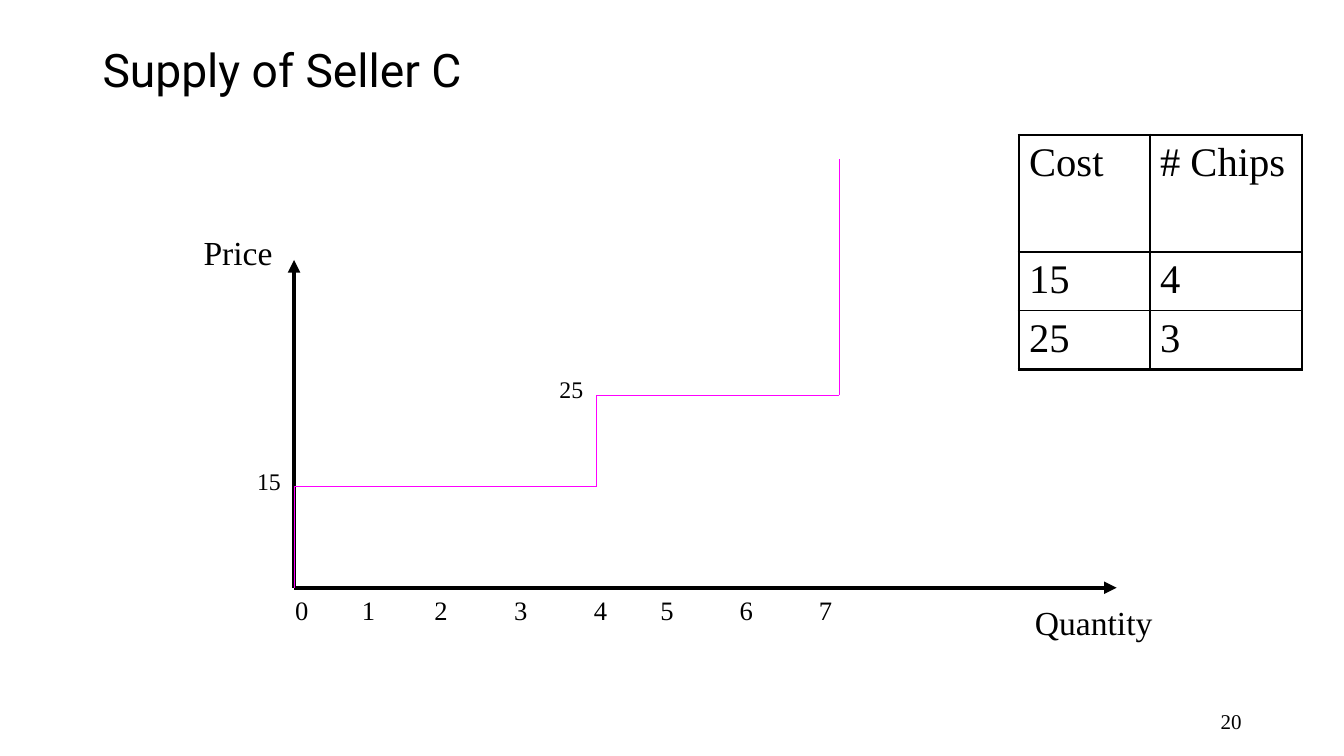
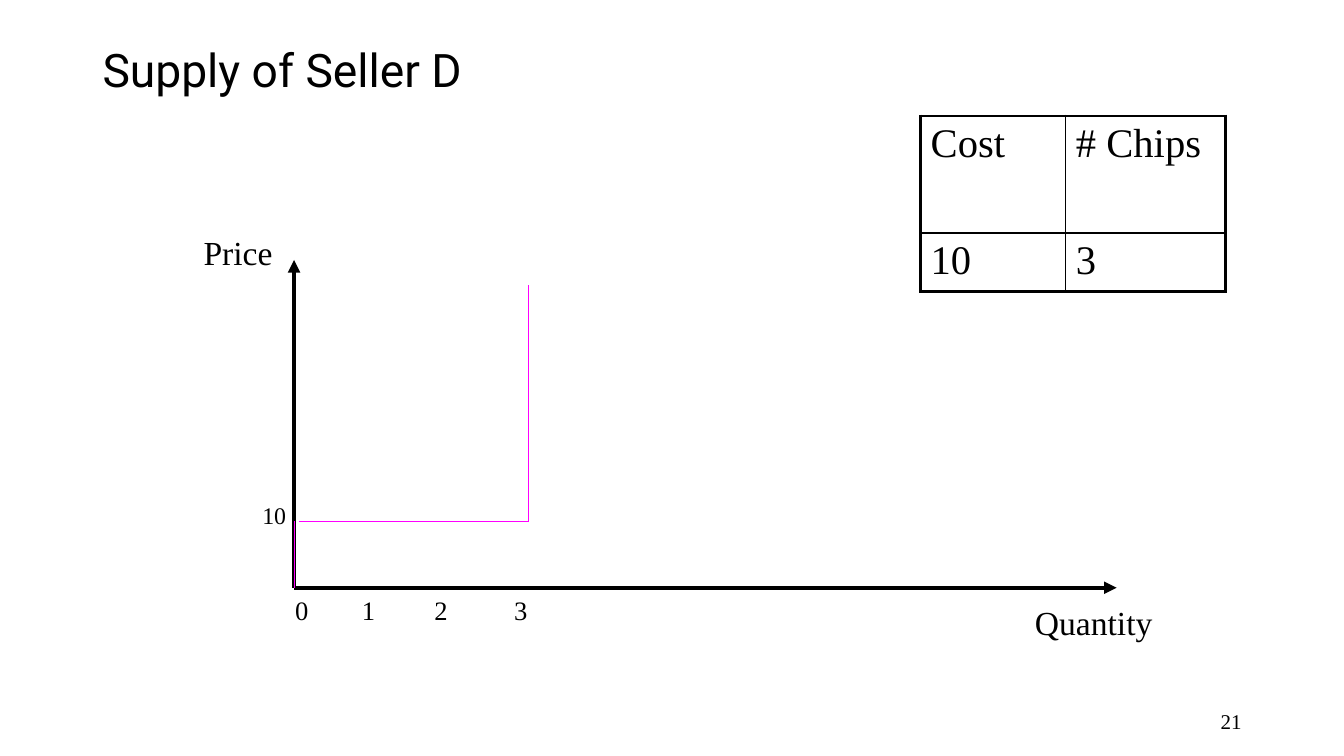
from itertools import pairwise

from lxml.etree import SubElement
from pptx import Presentation
from pptx.dml.color import RGBColor
from pptx.enum.shapes import MSO_CONNECTOR
from pptx.enum.text import MSO_ANCHOR, PP_ALIGN
from pptx.oxml.ns import qn
from pptx.util import Cm, Pt

BLACK, MAGENTA = "000000", "FF00FF"
TITLE_FONT, BODY_FONT = "Roboto", "Times New Roman"
FRAME_WIDTH, GRID_WIDTH = 2.25, 1
LABEL_GAP = 0.33  # between a price label and its step
CURVE_RISE = 5.94  # final vertical part of every supply curve
TICK_STOPS = (1.68, 3.51, 5.52, 7.53, 9.2, 11.2, 13.2)


def rgb(color):
    return RGBColor.from_string(color)


def add_run(paragraph, text, size, font=BODY_FONT):
    run = paragraph.add_run()
    run.text = text
    run.font.size = Pt(size)
    run.font.name = font
    run.font.color.rgb = rgb(BLACK)


def add_label(slide, left, top, width, height, text, size,
              align=PP_ALIGN.LEFT, anchor=MSO_ANCHOR.TOP):
    label = slide.shapes.add_textbox(Cm(left), Cm(top), Cm(width), Cm(height))
    frame = label.text_frame
    frame.word_wrap = True
    frame.vertical_anchor = anchor
    paragraph = frame.paragraphs[0]
    paragraph.alignment = align
    add_run(paragraph, text, size)
    return frame


def add_line(slide, start, end, color, width, arrow=False):
    line = slide.shapes.add_connector(
        MSO_CONNECTOR.STRAIGHT, *(Cm(value) for value in (*start, *end)))
    line.line.color.rgb = rgb(color)
    line.line.width = Pt(width)
    if arrow:
        SubElement(line.line._get_or_add_ln(), qn("a:tailEnd"), type="triangle")
    SubElement(line._element.spPr, qn("a:effectLst"))


def add_heading(slide, title, number):
    heading = slide.shapes.title
    heading.left, heading.top = Cm(2.33), Cm(-0.02)
    heading.width, heading.height = Cm(29.21), Cm(3.68)
    heading.text_frame.vertical_anchor = MSO_ANCHOR.MIDDLE
    paragraph = heading.text_frame.paragraphs[0]
    paragraph.alignment = PP_ALIGN.LEFT
    paragraph.line_spacing = 0.9
    add_run(paragraph, title, 33, TITLE_FONT)
    add_label(slide, 25.83, 17.65, 5.71, 1.02, str(number), 15,
              PP_ALIGN.RIGHT, MSO_ANCHOR.MIDDLE)


def set_borders(cell, widths):
    properties = cell._tc.get_or_add_tcPr()
    for side, width in zip("LRTB", widths):
        border = SubElement(properties, qn(f"a:ln{side}"), w=str(Pt(width)))
        fill = SubElement(border, qn("a:solidFill"))
        SubElement(fill, qn("a:srgbClr"), val=BLACK)


def add_cost_table(slide, left, top, column_widths, costs):
    rows = [("Cost", "# Chips"), *costs]
    row_heights = [2.95] + [1.48] * len(costs)
    table = slide.shapes.add_table(
        len(rows), len(column_widths), Cm(left), Cm(top),
        Cm(sum(column_widths)), Cm(sum(row_heights))).table
    table.first_row = table.horz_banding = False
    for column, width in zip(table.columns, column_widths):
        column.width = Cm(width)
    last_row, last_column = len(rows) - 1, len(column_widths) - 1
    for r, values in enumerate(rows):
        table.rows[r].height = Cm(row_heights[r])
        for c, value in enumerate(values):
            cell = table.cell(r, c)
            on_frame = (c == 0, c == last_column, r == 0, r == last_row)
            set_borders(cell, [FRAME_WIDTH if edge else GRID_WIDTH
                               for edge in on_frame])
            cell.fill.background()
            add_run(cell.text_frame.paragraphs[0], value, 29)


def add_axes(slide, left, top, width, height, last_tick):
    bottom, right = top + height, left + width
    add_line(slide, (left, bottom), (left, top), BLACK, 3, arrow=True)
    add_line(slide, (left, bottom), (right, bottom), BLACK, 3, arrow=True)
    add_label(slide, right - 2.31, bottom + 0.23, 3.7, 1.27, "Quantity", 24)
    add_label(slide, left - 2.53, top - 0.84, 2.4, 1.27, "Price", 24)

    # Quantities share one line, spread by tab stops
    quantities = "\t".join(str(tick) for tick in range(last_tick + 1))
    frame = add_label(slide, left - 0.22, bottom + 0.04, 20.32, 1.09,
                      quantities, 19)
    tabs = SubElement(frame.paragraphs[0]._p.get_or_add_pPr(), qn("a:tabLst"))
    for stop in TICK_STOPS[:last_tick]:
        SubElement(tabs, qn("a:tab"), pos=str(Cm(stop)), algn="l")


def add_supply_curve(slide, left, bottom, steps, axis_gap):
    """Each step holds its price, its height and where it ends on the axis."""
    x, y = left, bottom
    for price, rise, run in steps:
        step_y, step_end = bottom - rise, left + run
        step_start = x + (axis_gap if x == left else 0)
        add_line(slide, (x, y), (x, step_y), MAGENTA, 0.75)
        add_line(slide, (step_start, step_y), (step_end, step_y), MAGENTA, 0.75)
        frame = add_label(slide, step_start - LABEL_GAP - 1, step_y - 0.5,
                          1, 0.7, price, 17, PP_ALIGN.RIGHT, MSO_ANCHOR.MIDDLE)
        frame.margin_left = frame.margin_right = 0
        frame.margin_top = frame.margin_bottom = 0
        x, y = step_end, step_y
    add_line(slide, (x, y), (x, y - CURVE_RISE), MAGENTA, 0.75)


def add_seller_slide(prs, seller, number, table, last_tick, steps, axis_gap=0):
    slide = prs.slides.add_slide(prs.slide_layouts.get_by_name("Title Only"))
    add_heading(slide, f"Supply of Seller {seller}", number)
    add_cost_table(slide, *table)
    left, top, width, height = 7.41, 6.55, 20.73, 8.26
    add_axes(slide, left, top, width, height, last_tick)
    add_supply_curve(slide, left, top + height, steps, axis_gap)


def main():
    prs = Presentation()
    prs.slide_width, prs.slide_height = Cm(33.87), Cm(19.05)
    add_seller_slide(
        prs, "C", 20,
        table=(25.68, 3.4, (3.3, 3.83), [("15", "4"), ("25", "3")]),
        last_tick=7, steps=[("15", 2.54, 7.62), ("25", 4.85, 13.74)])
    add_seller_slide(
        prs, "D", 21,
        table=(23.2, 2.92, (3.66, 4.03), [("10", "3")]),
        last_tick=3, steps=[("10", 1.68, 5.92)], axis_gap=0.13)
    prs.save("out.pptx")


if __name__ == "__main__":
    main()
